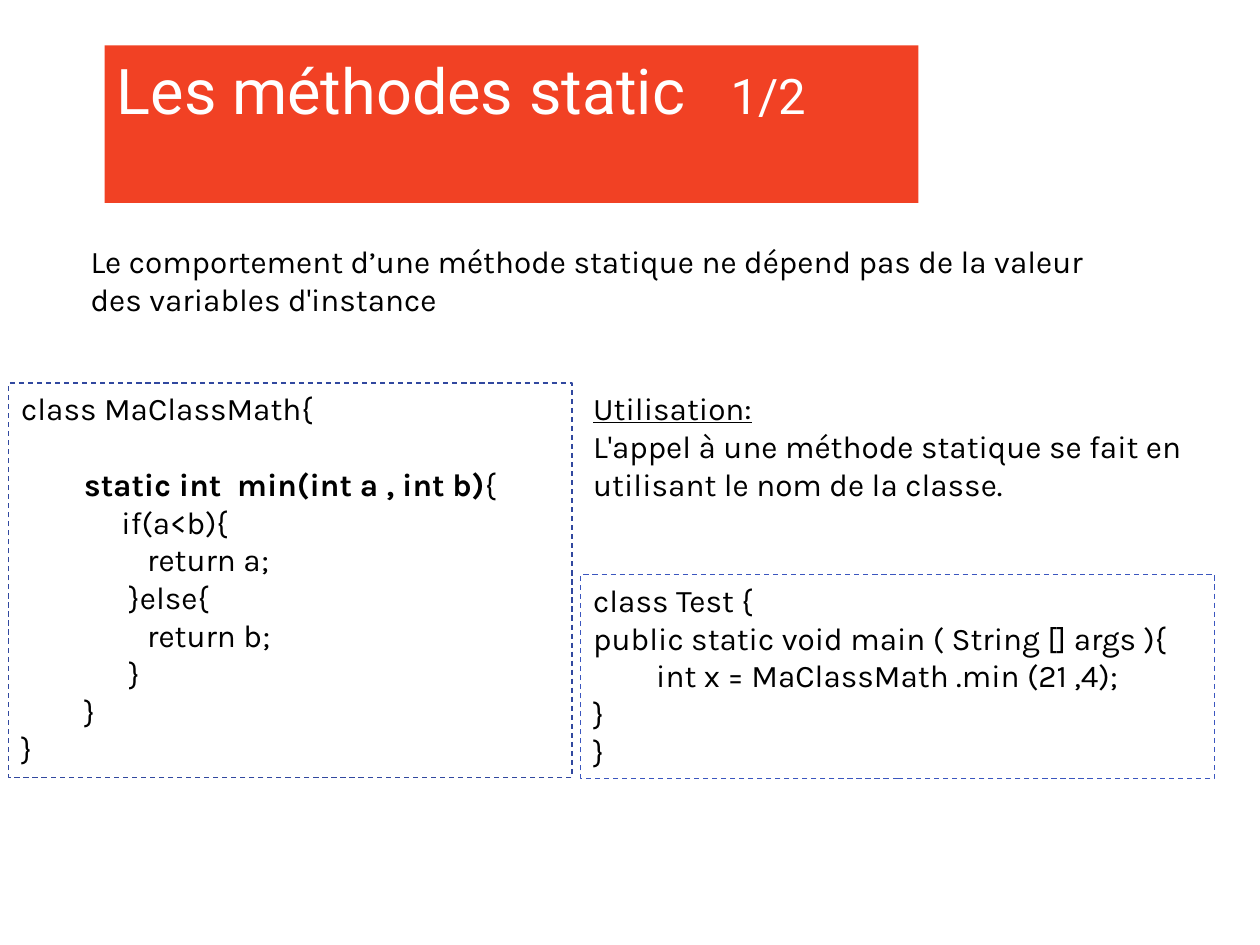
from pptx import Presentation
from pptx.dml.color import RGBColor as RGB
from pptx.enum.dml import MSO_LINE as Dash
from pptx.enum.shapes import MSO_SHAPE as Shape
from pptx.enum.text import MSO_ANCHOR as Anchor, MSO_AUTO_SIZE as Auto, PP_ALIGN as Align
from pptx.oxml import parse_xml
from pptx.oxml.ns import nsdecls
from pptx.util import Inches, Pt

COLORS = {"band": "F14124", "white": "FFFFFF", "black": "000000",
          "math": "31489F", "test": "3B56BF"}

# Content: each line is a list of (text, style) runs
TITLE = [("Les méthodes static", 36), ("\t1/2", 28)]
INTRO = ["Le comportement d’une méthode statique ne dépend pas "
         "de la valeur des variables d'instance"]
USAGE = [[("Utilisation:", "u")],
         "L'appel à une méthode statique se fait en",
         "utilisant le nom de la classe."]
MATH = ["class MaClassMath{",
        [("\t", ""), ("static int  min(int a , int b)", "b"), ("{", "")],
        "\t     if(a<b){",
        "\t\treturn a;",
        "\t      }else{",
        "\t\treturn b;",
        "\t      }",
        "\t}",
        "}"]
TEST = ["class Test {",
        "public static void main ( String [] args ){",
        "\tint x = MaClassMath .min (21 ,4);",
        "}",
        "}"]

# Left, top, width, height
LEFT, RIGHT, ROW = 0.07, 4.61, 3.04
BOXES = [
    (INTRO, (0.62, 1.87, 8.52, 0.71), None),
    (MATH, (LEFT, ROW, 4.47, 3.13), "math"),
    (TEST, (RIGHT, 4.56, 5.03, 1.62), "test"),
    (USAGE, (RIGHT, ROW, 5, 1.01), None),
]
GAP = {1: 21.6}  # one line of air above the method in MATH


def color(name):
    return RGB.from_string(COLORS[name])


def style(font, face, size, name):
    font.name, font.size = face, Pt(size)
    font.color.rgb = color(name)


def add_box(slide, lines, place, edge):
    place = [Inches(v) for v in place]
    if edge:
        box = slide.shapes.add_shape(Shape.RECTANGLE, *place)
        box.shadow.inherit = False
        box.fill.background()
        box.line.color.rgb = color(edge)
        box.line.width = Pt(0.75)
        box.line.dash_style = Dash.DASH
    else:
        box = slide.shapes.add_textbox(*place)
    frame = box.text_frame
    frame.word_wrap = not edge
    frame.auto_size = Auto.SHAPE_TO_FIT_TEXT
    frame.vertical_anchor = Anchor.TOP
    for i, line in enumerate(lines):
        para = frame.paragraphs[0] if i == 0 else frame.add_paragraph()
        para.alignment = Align.LEFT
        if lines is MATH and i in GAP:
            para.space_before = Pt(GAP[i])
        for text, look in [(line, "")] if isinstance(line, str) else line:
            run = para.add_run()
            run.text = text
            if look == "b":
                run.font.bold = True
            elif look == "u":
                run.font.underline = True
        style(para.font, "Karla", 18, "black")


def add_title(slide):
    band = slide.shapes.add_shape(Shape.RECTANGLE, Inches(0.83), Inches(0.36),
                                  Inches(6.46), Inches(1.25))
    band.shadow.inherit = False
    band.fill.solid()
    band.fill.fore_color.rgb = color("band")
    band.line.fill.background()
    frame = band.text_frame
    frame.word_wrap = True
    frame.vertical_anchor = Anchor.TOP
    para = frame.paragraphs[0]
    para.alignment = Align.LEFT
    # Tab stop for the page count
    para._p.get_or_add_pPr().append(parse_xml(
        f'<a:tabLst {nsdecls("a")}><a:tab pos="{Inches(4.87)}" algn="l"/></a:tabLst>'))
    for text, size in TITLE:
        run = para.add_run()
        run.text = text
        run.font.size = Pt(size)
    style(para.font, "Roboto", 36, "white")


def main():
    deck = Presentation()
    deck.slide_width, deck.slide_height = Inches(10), Inches(7.5)
    slide = deck.slides.add_slide(deck.slide_layouts[6])
    add_title(slide)
    for lines, place, edge in BOXES:
        add_box(slide, lines, place, edge)
    deck.save("out.pptx")


if __name__ == "__main__":
    main()
